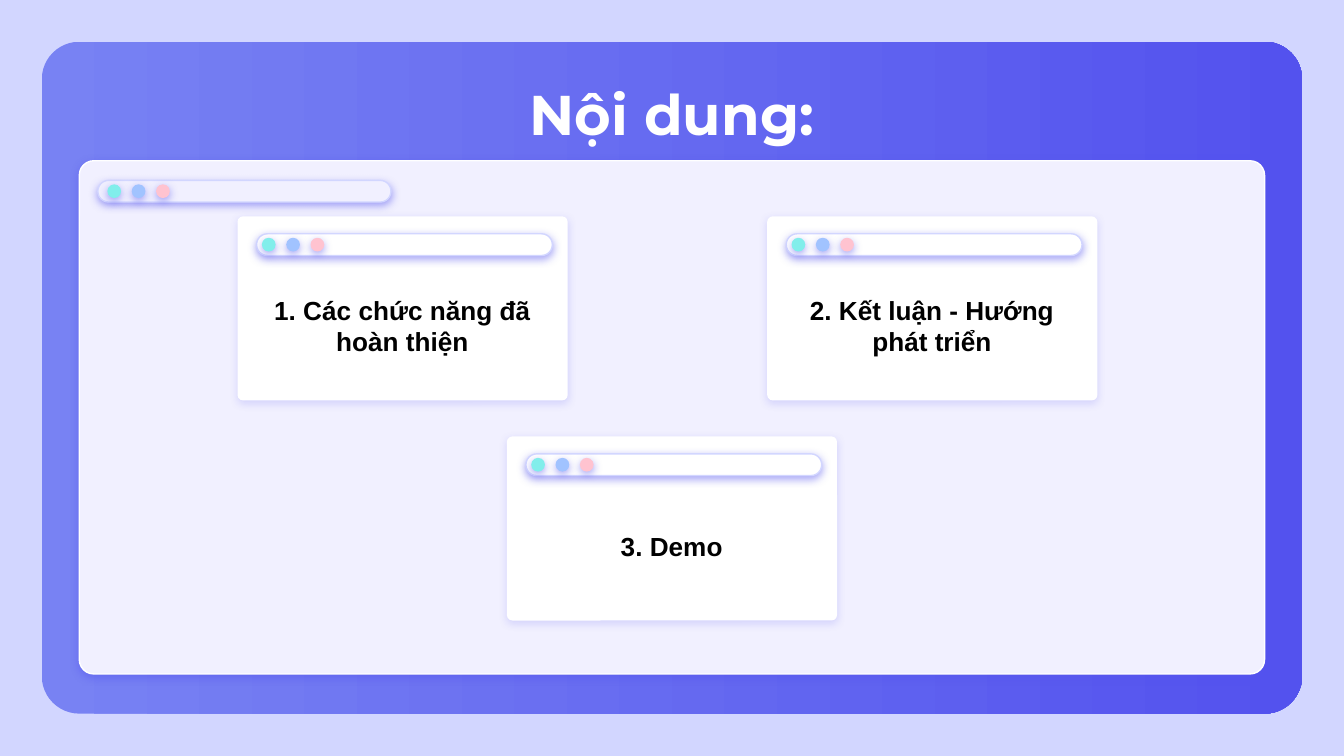
"""Build a contents slide with three browser-style cards."""
from lxml import etree
from pptx import Presentation
from pptx.dml.color import RGBColor
from pptx.enum.shapes import MSO_SHAPE
from pptx.enum.text import MSO_ANCHOR, PP_ALIGN
from pptx.oxml.ns import qn
from pptx.util import Cm, Pt

ROUND, OVAL = MSO_SHAPE.ROUNDED_RECTANGLE, MSO_SHAPE.OVAL
TOP, MIDDLE = MSO_ANCHOR.TOP, MSO_ANCHOR.MIDDLE
CENTER = PP_ALIGN.CENTER

TITLE = "Nội dung:"
CARDS = [
    ("1. Các chức năng đã hoàn thiện", 4.49, 4.09),
    ("3. Demo", 9.58, 8.25),
    ("2. Kết luận - Hướng phát triển", 14.5, 4.09),
]
DOTS = ["81EEEB", "A1C3FF", "FFC3D0"]
INDIGO, BLUE, LILAC = "5352EE", "7882F3", "D2D6FF"
PALE, WHITE, BLACK = "F1F0FF", "FFFFFF", "000000"
CARD_W, CARD_H = 6.24, 3.48
BAR_H, DOT, STEP = 0.41, 0.26, 0.46


def color(code):
    return RGBColor.from_string(code)


def add_shadow(shape, alpha):
    effects = shape._element.spPr.find(qn("a:effectLst"))
    outer = etree.SubElement(effects, qn("a:outerShdw"), blurRad=str(Pt(4.5)),
                             dist=str(Pt(1.5)), dir="5400000",
                             algn="bl", rotWithShape="0")
    tint = etree.SubElement(outer, qn("a:srgbClr"), val=INDIGO)
    etree.SubElement(tint, qn("a:alpha"), val=str(alpha * 1000))


def add_shape(shapes, kind, box, fill, line=None, round_by=None, shade=0):
    shape = shapes.add_shape(kind, *map(Cm, box))
    shape.shadow.inherit = False
    if round_by is not None:
        shape.adjustments[0] = round_by
    if isinstance(fill, tuple):
        shape.fill.gradient()
        shape.fill.gradient_angle = 0
        for stop, code in zip(shape.fill.gradient_stops, fill):
            stop.color.rgb = color(code)
    else:
        shape.fill.solid()
        shape.fill.fore_color.rgb = color(fill)
    if line:
        shape.line.color.rgb = color(line)
        shape.line.width = Pt(0.75)
    else:
        shape.line.fill.background()
    if shade:
        add_shadow(shape, shade)


def add_text(shapes, box, text, font, size, ink, anchor):
    frame = shapes.add_textbox(*map(Cm, box)).text_frame
    frame.word_wrap = True
    frame.vertical_anchor = anchor
    frame.margin_left = frame.margin_right = Cm(0.25)
    frame.margin_top = frame.margin_bottom = Cm(0.25)
    para = frame.paragraphs[0]
    para.alignment = CENTER
    run = para.add_run()
    run.text = text
    run.font.name = font
    run.font.size = Pt(size)
    run.font.bold = True
    run.font.color.rgb = color(ink)


def add_bar(shapes, left, top, width, fill, inset):
    add_shape(shapes, ROUND, (left, top, width, BAR_H), fill, LILAC, 0.5, 50)
    for i, code in enumerate(DOTS):
        box = (left + inset + i * STEP, top + (BAR_H - DOT) / 2, DOT, DOT)
        add_shape(shapes, OVAL, box, code, shade=50)


def add_card(shapes, text, left, top):
    add_shape(shapes, ROUND, (left, top, CARD_W, CARD_H), WHITE,
              round_by=0.03, shade=18)
    add_text(shapes, (left + 0.17, top + 0.66, 5.89, CARD_H - 0.66),
             text, "Arial", 14, BLACK, MIDDLE)
    add_bar(shapes, left + 0.36, top + 0.33, 5.59, WHITE, 0.1)


def main():
    deck = Presentation()
    deck.slide_width, deck.slide_height = Cm(25.4), Cm(14.29)
    slide = deck.slides.add_slide(deck.slide_layouts[6])
    slide.background.fill.solid()
    slide.background.fill.fore_color.rgb = color(LILAC)
    shapes = slide.shapes
    add_shape(shapes, ROUND, (0.79, 0.79, 23.82, 12.7), (BLUE, INDIGO),
              round_by=0.056)
    add_shape(shapes, ROUND, (1.5, 3.04, 22.4, 9.7), PALE, WHITE, 0.028, 50)
    add_bar(shapes.add_group_shape().shapes, 1.85, 3.41, 5.54, PALE, 0.18)
    add_text(shapes, (2, 1.25, 21.4, 1.6), TITLE, "Montserrat", 30, WHITE, TOP)
    for text, left, top in CARDS:
        add_card(shapes.add_group_shape().shapes, text, left, top)
    deck.save("out.pptx")


if __name__ == "__main__":
    main()
